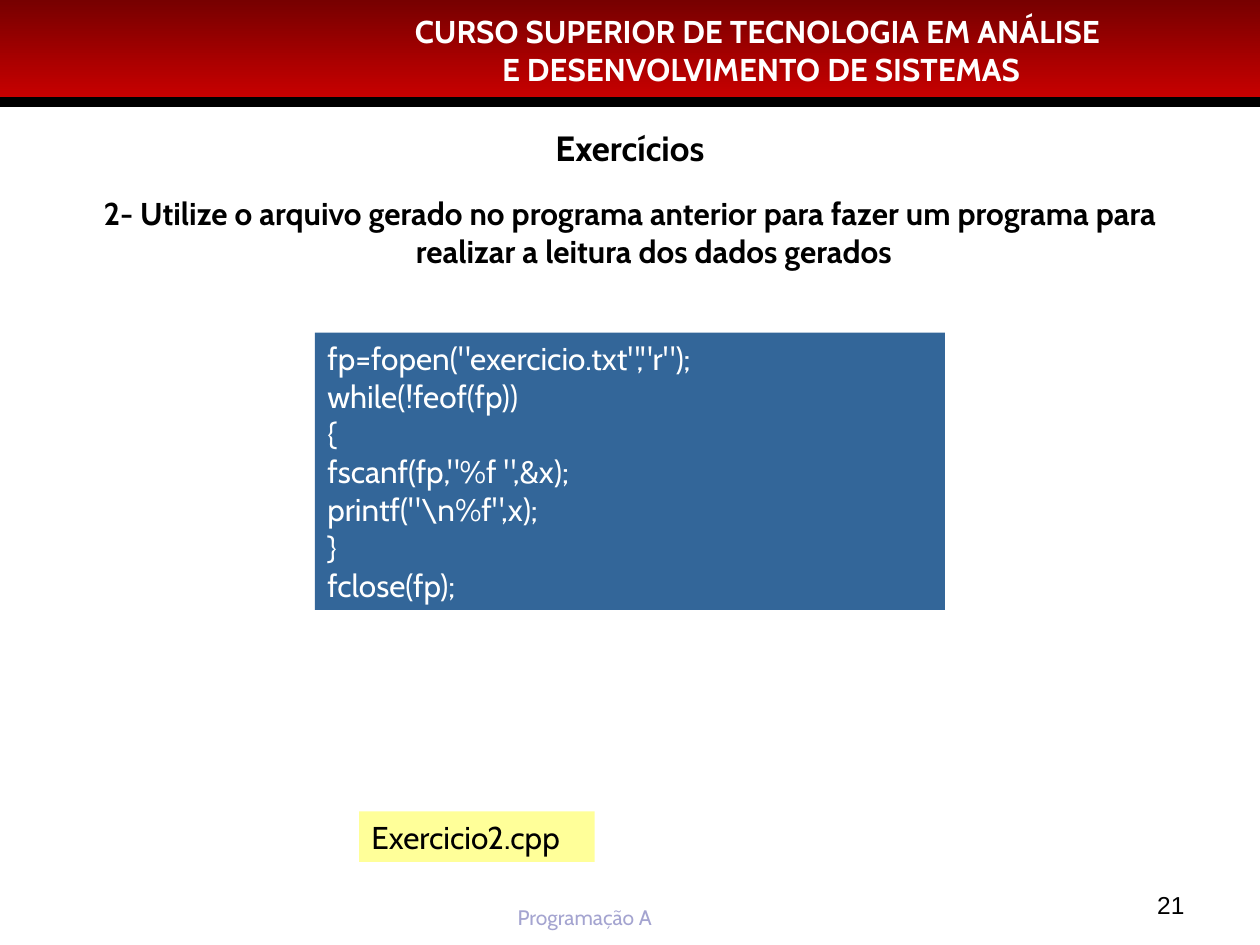
"""Builds the exercise slide about reading a generated file."""
from lxml.etree import SubElement
from pptx import Presentation
from pptx.dml.color import RGBColor
from pptx.enum.shapes import MSO_CONNECTOR, MSO_SHAPE
from pptx.enum.text import MSO_ANCHOR, MSO_AUTO_SIZE, PP_ALIGN
from pptx.oxml.ns import qn
from pptx.util import Inches, Pt

COURSE = ["CURSO SUPERIOR DE TECNOLOGIA EM ANÁLISE ", "E DESENVOLVIMENTO DE SISTEMAS"]
TASK = ("2- Utilize o arquivo gerado no programa anterior para fazer um programa para "
        "realizar a leitura dos dados gerados")
CODE = [
    'fp=fopen("exercicio.txt","r");',
    "while(!feof(fp))",
    "{",
    'fscanf(fp,"%f ",&x);',
    'printf("\\n%f",x);',
    "}",
    "fclose(fp);",
]
CENTER, LEFT, RIGHT = PP_ALIGN.CENTER, PP_ALIGN.LEFT, PP_ALIGN.RIGHT


def rgb(color):
    return RGBColor.from_string(color)


def add_panel(slide, box):
    panel = slide.shapes.add_shape(MSO_SHAPE.RECTANGLE, *map(Inches, box))
    panel.shadow.inherit = False
    panel.line.fill.background()
    return panel


def write(slide, box, lines, size, color="000000", fill=None, font="Cabin", bold=False,
          align=LEFT, anchor=MSO_ANCHOR.TOP, wrap=True, grow=False, inset=True):
    if fill:
        holder = add_panel(slide, box)
        holder.fill.solid()
        holder.fill.fore_color.rgb = rgb(fill)
    else:
        holder = slide.shapes.add_textbox(*map(Inches, box))
    frame = holder.text_frame
    frame.text = "\n".join(lines)
    frame.word_wrap = wrap
    frame.auto_size = MSO_AUTO_SIZE.SHAPE_TO_FIT_TEXT if grow else MSO_AUTO_SIZE.NONE
    frame.vertical_anchor = anchor
    if not inset:
        frame.margin_left = frame.margin_right = frame.margin_top = frame.margin_bottom = 0
    for paragraph in frame.paragraphs:
        paragraph.alignment = align
        for run in paragraph.runs:
            run.font.name = font
            run.font.size = Pt(size)
            run.font.bold = bold
            run.font.color.rgb = rgb(color)
    return frame


def add_header(slide):
    band = add_panel(slide, (0, 0, 10, 0.84))
    band.fill.gradient()
    band.fill.gradient_angle = 270
    for stop, (position, color) in zip(band.fill.gradient_stops, [(0, "770000"), (1, "CE0000")]):
        stop.position = position
        stop.color.rgb = rgb(color)
    write(slide, (2.16, 0.05, 7.76, 0.7), COURSE, 18, "FFFFFF", bold=True, align=CENTER, grow=True)
    rule = slide.shapes.add_connector(
        MSO_CONNECTOR.STRAIGHT, 0, Inches(0.81), Inches(10), Inches(0.81))
    rule.line.color.rgb = rgb("000000")
    rule.line.width = Pt(6)
    SubElement(rule.line._get_or_add_ln().getparent(), qn("a:effectLst"))


def add_task(slide):
    task = write(slide, (0.5, 1.54, 9, 5.04), [TASK], 18, bold=True, align=CENTER, inset=False)
    paragraph = task.paragraphs[0]
    paragraph.space_before = Pt(4.5)
    paragraph.space_after = Pt(11.2)
    indents = paragraph._p.get_or_add_pPr()
    indents.set("marL", str(Inches(0.38)))
    indents.set("indent", str(Inches(-0.38)))


def main():
    deck = Presentation()
    deck.slide_width, deck.slide_height = Inches(10), Inches(7.5)
    slide = deck.slides.add_slide(deck.slide_layouts[6])
    add_header(slide)
    write(slide, (4.01, 7.13, 1.41, 0.3), ["Programação A"], 12, "A4A4D0", wrap=False, grow=True)
    write(slide, (7.17, 6.83, 2.33, 0.52), ["21"], 14, font="Arial", align=RIGHT,
          anchor=MSO_ANCHOR.BOTTOM)
    write(slide, (0.5, 0.42, 9, 1.5), ["Exercícios"], 20, bold=True, align=CENTER,
          anchor=MSO_ANCHOR.MIDDLE, inset=False)
    add_task(slide)
    write(slide, (2.85, 6.44, 1.87, 0.4), ["Exercicio2.cpp"], 18, fill="FFFF99",
          wrap=False, grow=True)
    write(slide, (2.5, 2.64, 5, 2.2), CODE, 18, "FFFFFF", fill="336699", grow=True)
    deck.save("out.pptx")


if __name__ == "__main__":
    main()
